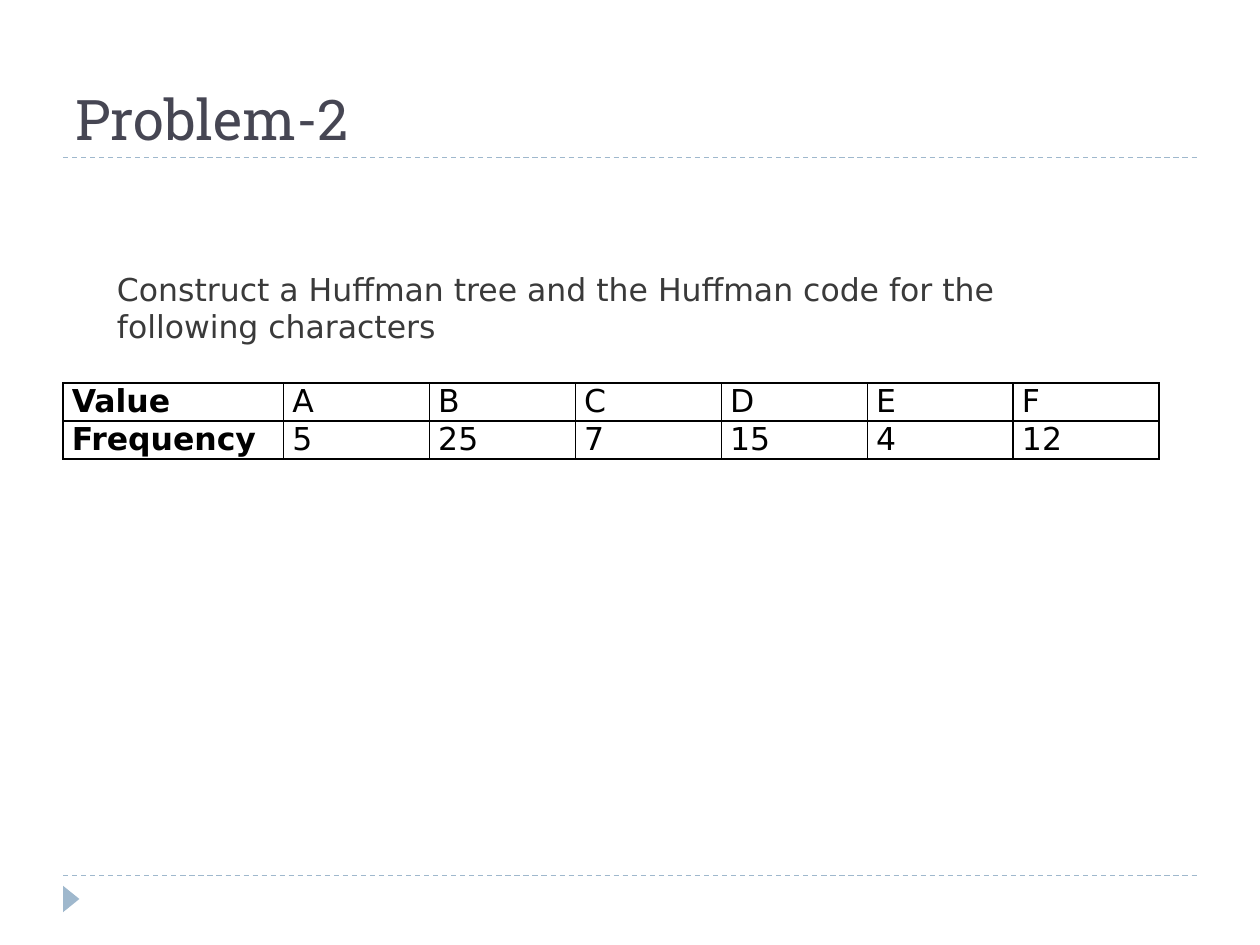
from lxml import etree
from pptx import Presentation
from pptx.dml.color import RGBColor
from pptx.enum import dml, shapes, text
from pptx.oxml import ns
from pptx.util import Inches, Pt

COLORS = {
    "accent": "9FB8CD",
    "title": "464653",
    "body": "3A3A3A",
    "ink": "000000",
    "paper": "FFFFFF",
}
TITLE_FONT = "Roboto Slab"
BODY_FONT = "DejaVu Sans"
FREQUENCIES = {"A": 5, "B": 25, "C": 7, "D": 15, "E": 4, "F": 12}


def color(name):
    return RGBColor.from_string(COLORS[name])


def style(paragraph, size, font, ink, bold=False):
    paragraph.font.size = Pt(size)
    paragraph.font.name = font
    paragraph.font.bold = bold
    paragraph.font.color.rgb = color(ink)


def add_rule(slide, left, top, width):
    rule = slide.shapes.add_connector(
        shapes.MSO_CONNECTOR.STRAIGHT,
        Inches(left), Inches(top), Inches(left + width), Inches(top))
    rule.line.color.rgb = color("accent")
    rule.line.width = Pt(0.75)
    rule.line.dash_style = dml.MSO_LINE.DASH
    etree.SubElement(rule._element.spPr, ns.qn("a:effectLst"))


def add_words(slide, left, top, width, height, words, size, font, ink, anchor):
    box = slide.shapes.add_textbox(
        Inches(left), Inches(top), Inches(width), Inches(height))
    frame = box.text_frame
    frame.word_wrap = True
    frame.vertical_anchor = anchor
    frame.text = words
    style(frame.paragraphs[0], size, font, ink)


def add_header(slide, left, top, width, height):
    add_rule(slide, left, top + height, width)
    add_words(slide, left, top, width, height, "Problem-2",
              32, TITLE_FONT, "title", text.MSO_ANCHOR.BOTTOM)


def add_footer(slide, left, top, width):
    add_rule(slide, left, top, width)
    marker = slide.shapes.add_shape(
        shapes.MSO_SHAPE.ISOSCELES_TRIANGLE,
        Inches(left - 0.04), Inches(top + 0.12), Inches(0.21), Inches(0.13))
    marker.rotation = 90
    marker.shadow.inherit = False
    marker.fill.solid()
    marker.fill.fore_color.rgb = color("accent")
    marker.line.fill.background()


def add_borders(cell):
    properties = cell._tc.get_or_add_tcPr()
    for position, side in enumerate(("lnL", "lnR", "lnT", "lnB")):
        border = etree.Element(ns.qn(f"a:{side}"), w=str(Pt(1)))
        fill = etree.SubElement(border, ns.qn("a:solidFill"))
        etree.SubElement(fill, ns.qn("a:srgbClr"), val=COLORS["ink"])
        properties.insert(position, border)


def add_frequency_table(slide, left, top, width, height):
    rows = [["Value", *FREQUENCIES], ["Frequency", *FREQUENCIES.values()]]
    label_width = 1.75
    value_width = (width - label_width) / len(FREQUENCIES)
    table = slide.shapes.add_table(
        len(rows), len(rows[0]),
        Inches(left), Inches(top), Inches(width), Inches(height)).table
    for index, column in enumerate(table.columns):
        column.width = Inches(value_width if index else label_width)
    for row, values in enumerate(rows):
        for column, value in enumerate(values):
            cell = table.cell(row, column)
            cell.margin_left = cell.margin_right = Inches(0.07)
            cell.margin_top = cell.margin_bottom = 0
            cell.fill.solid()
            cell.fill.fore_color.rgb = color("paper")
            cell.text = str(value)
            style(cell.text_frame.paragraphs[0], 18, BODY_FONT, "ink",
                  bold=column == 0)
            add_borders(cell)


def main():
    deck = Presentation()
    deck.slide_width, deck.slide_height = Inches(10), Inches(7.5)
    slide = deck.slides.add_slide(deck.slide_layouts[6])
    add_footer(slide, 0.5, 6.95, 9)
    add_header(slide, 0.5, 0.17, 9, 1.08)
    add_frequency_table(slide, 0.5, 3.04, 8.7, 0.58)
    add_words(slide, 0.83, 2.09, 7.48, 0.71,
              "Construct a Huffman tree and the Huffman code for the "
              "following characters",
              18, BODY_FONT, "body", text.MSO_ANCHOR.TOP)
    deck.save("out.pptx")


if __name__ == "__main__":
    main()
